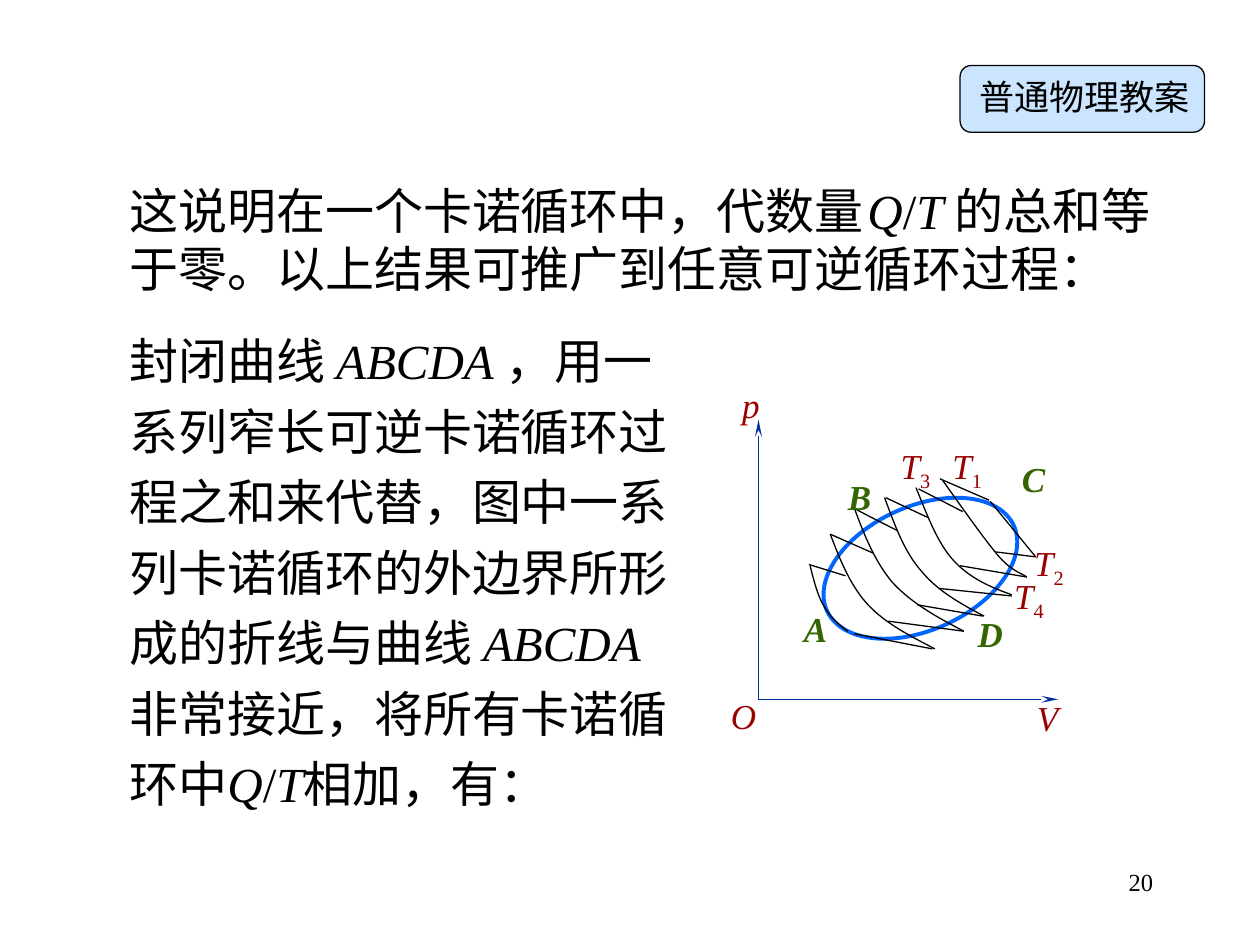
from lxml.etree import SubElement
from pptx import Presentation
from pptx.dml.color import RGBColor
from pptx.enum.shapes import MSO_CONNECTOR as CONN, MSO_SHAPE as SHAPE
from pptx.enum.text import MSO_AUTO_SIZE as AUTO, PP_ALIGN as ALIGN
from pptx.oxml.ns import qn
from pptx.util import Inches, Pt

W, H = 10, 7.5
GRID_COLS, GRID_ROWS = 1000, 750  # square cells over the whole slide
FONT = "Times New Roman"
BLACK, RED, GREEN, NAVY, BLUE = "000000", "990000", "336600", "003399", "0066FF"

# Diagram cells, counted from the top of the p axis
COLS, ROWS = 238, 222
ADIABATS = [  # start, then two Bezier segments of three points each
    [(100, 62), (108, 83), (115, 104), (129, 120), (142, 136), (160, 146), (179, 156)],
    [(76, 70), (84, 92), (93, 114), (107, 130), (122, 146), (142, 157), (163, 168)],
    [(57, 91), (65, 112), (73, 132), (87, 147), (101, 162), (121, 172), (140, 182)],
    [(41, 116), (44, 128), (47, 140), (52, 148), (57, 157), (64, 163), (71, 168)],
    [(125, 54), (134, 76), (142, 98), (155, 112), (168, 126), (184, 133), (201, 139)],
    [(146, 48), (163, 72), (180, 96), (191, 109), (202, 121), (209, 122), (213, 125)],
]
UPPER_CURVE = [(75, 70), (90, 78), (104, 85), (110, 88)]
ISOTHERMS = [
    (101, 62, 135, 78), (127, 55, 162, 73), (57, 91, 91, 106),
    (40, 115, 69, 124), (144, 47, 183, 64), (184, 65, 220, 109),
    (188, 105, 220, 109), (160, 116, 213, 125), (143, 134, 201, 140),
    (126, 147, 178, 156), (103, 160, 163, 168), (76, 170, 138, 182),
]
# Name, left, top, width
STATES = [("A", 36, 149, 47), ("B", 71, 44, 47), ("C", 209, 30, 47), ("D", 174, 153, 47)]
AXIS_NAMES = [("O", -22, 218, 47), ("p", -13, -29, 47), ("V", 221, 220, 33)]
TEMPERATURES = [("1", 144, 15, 95), ("2", 209, 92, 47), ("3", 103, 15, 54), ("4", 193, 118, 54)]


def rgb(value):
    return RGBColor.from_string(value)


def cells(x, y, w, h):
    """Turn columns and rows of the slide grid into lengths."""
    col, row = W / GRID_COLS, H / GRID_ROWS
    return Inches(x * col), Inches(y * row), Inches(w * col), Inches(h * row)


def add_run(p, text, size, color=BLACK, italic=False, bold=False, sub=False):
    r = p.add_run()
    r.text = text
    f = r.font
    f.name, f.size, f.italic, f.bold = FONT, Pt(size), italic, bold
    f.color.rgb = rgb(color)
    if sub:
        r._r.get_or_add_rPr().set("baseline", "-25000")


def text_box(s, box, inset=True, grow=False):
    tf = s.shapes.add_textbox(*box).text_frame
    tf.word_wrap = True
    if grow:
        tf.auto_size = AUTO.SHAPE_TO_FIT_TEXT
    if not inset:
        tf.margin_left = tf.margin_right = tf.margin_top = tf.margin_bottom = 0
        tf.paragraphs[0].alignment = ALIGN.JUSTIFY
    return tf.paragraphs[0]


def outline(sp, color, width):
    sp.shadow.inherit = False
    sp.line.color.rgb, sp.line.width = rgb(color), Pt(width)


def add_line(s, start, end, color=BLACK, arrow=False):
    c = s.shapes.add_connector(CONN.STRAIGHT, *start, *end)
    c.line.color.rgb, c.line.width = rgb(color), Pt(0.75)
    if arrow:
        SubElement(c.line._get_or_add_ln(), qn("a:tailEnd"),
                   type="stealth", w="sm", len="lg")
    SubElement(c._element.spPr, qn("a:effectLst"))


def add_curve(s, points):
    """Join the points, then turn every three straight steps into a Bezier."""
    builder = s.shapes.build_freeform(*points[0])
    builder.add_line_segments(points[1:], close=False)
    sp = builder.convert_to_shape()
    steps = list(sp._element.iter(qn("a:lnTo")))
    for i in range(0, len(steps), 3):
        bezier = SubElement(steps[i].getparent(), qn("a:cubicBezTo"))
        for step in steps[i:i + 3]:
            bezier.append(step[0])
            step.getparent().remove(step)
    sp.fill.background()
    outline(sp, BLACK, 0.75)


def badge(s, box):
    left, top, width, height = box
    group = s.shapes.add_group_shape()
    sp = group.shapes.add_shape(SHAPE.ROUNDED_RECTANGLE, *box)
    sp.fill.solid()
    sp.fill.fore_color.rgb = rgb("99CCFF")
    fill = sp._element.spPr.find(qn("a:solidFill"))
    SubElement(fill[0], qn("a:alpha"), val="50000")
    outline(sp, BLACK, 0.75)
    p = text_box(group, (left + round(width * 0.08), top + round(height * 0.15),
                         width, round(height * 0.74)), inset=False)
    add_run(p, "普通物理教案", 20)


def paragraph(s, box, parts, spacing=None):
    """Text whose parts are (text, italic) or (text, italic, size)."""
    p = text_box(s, box, grow=True)
    if spacing:
        p.line_spacing = spacing
    for text, italic, *size in parts:
        add_run(p, text, size[0] if size else 28, italic=italic)


def cycle_diagram(s, box):
    left, top, width, height = box
    group = s.shapes.add_group_shape()

    def size(w, h):
        return round(w * width / COLS), round(h * height / ROWS)

    def at(x, y):
        dx, dy = size(x, y)
        return left + dx, top + dy

    # Axes
    origin = at(0, ROWS)
    for end in (at(0, 0), at(COLS, ROWS)):
        add_line(group, origin, end, NAVY, arrow=True)

    # Closed curve ABCDA
    ring = group.shapes.add_shape(SHAPE.OVAL, *at(47, 69), *size(163, 98))
    ring.rotation = 335.5
    ring.fill.background()
    outline(ring, BLUE, 2.25)

    # Narrow Carnot cycles
    for curve in ADIABATS + [UPPER_CURVE]:
        add_curve(group, [at(*point) for point in curve])
    for x1, y1, x2, y2 in ISOTHERMS:
        add_line(group, at(x1, y1), at(x2, y2))

    # Labels
    for names, color, bold in ((STATES, GREEN, True), (AXIS_NAMES, RED, False)):
        for name, x, y, w in names:
            p = text_box(group, (*at(x, y), *size(w, 52)), inset=False)
            add_run(p, name, 20, color, italic=True, bold=bold)
    for index, x, y, w in TEMPERATURES:
        p = text_box(group, (*at(x, y), *size(w, 48)), grow=True)
        add_run(p, "T", 20, RED, italic=True)
        add_run(p, index, 20, RED, sub=True)


def page_number(s, box):
    p = text_box(s, box)
    p.alignment = ALIGN.RIGHT
    add_run(p, "20", 14)


def main():
    prs = Presentation()
    prs.slide_width, prs.slide_height = Inches(W), Inches(H)
    s = prs.slides.add_slide(prs.slide_layouts[6])

    page_number(s, cells(717, 683, 208, 50))
    paragraph(s, cells(93, 138, 842, 104), [
        ("这说明在一个卡诺循环中，代数量", False), (" ", False, 10),
        ("Q", True), ("/", False), ("T ", True),
        ("的总和等于零。以上结果可推广到任意可逆循环过程：", False)])
    paragraph(s, cells(93, 248, 455, 402), [
        ("封闭曲线 ", False), ("ABCDA ", True),
        ("，用一系列窄长可逆卡诺循环过程之和来代替，"
         "图中一系列卡诺循环的外边界所形成的折线与曲线 ", False),
        ("ABCDA", True), ("非常接近，将所有卡诺循环中", False),
        ("Q", True), ("/", False), ("T", True), ("相加，有：", False)], spacing=1.2)
    cycle_diagram(s, cells(602, 333, COLS, ROWS))
    badge(s, cells(762, 52, 194, 53))
    prs.save("out.pptx")


if __name__ == "__main__":
    main()
